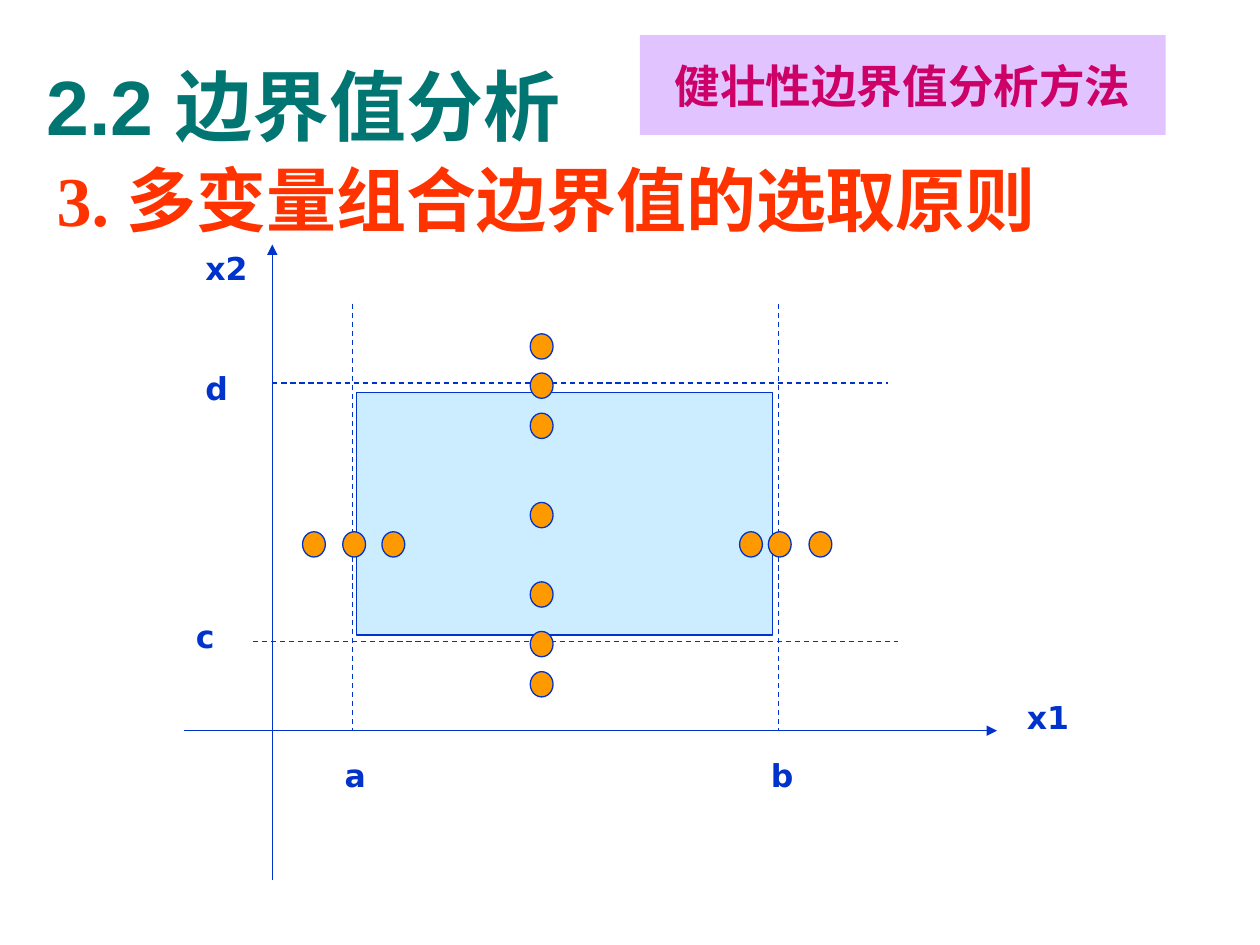
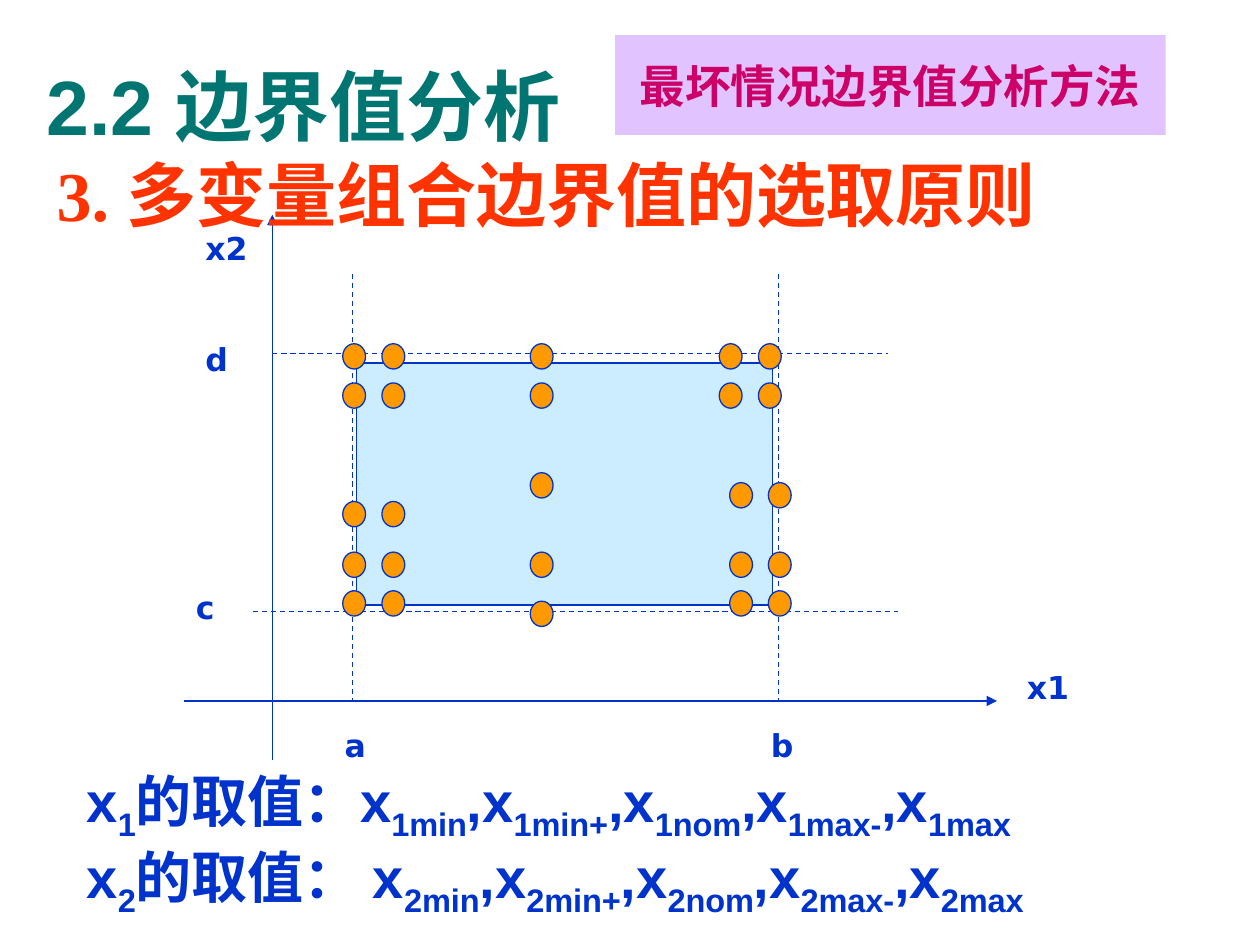
"""Build two slides on boundary value selection for combined variables."""
from itertools import product
from pptx import Presentation
from pptx.dml.color import RGBColor
from pptx.enum.dml import MSO_LINE
from pptx.enum.shapes import MSO_CONNECTOR, MSO_SHAPE
from pptx.enum.text import MSO_ANCHOR, MSO_AUTO_SIZE, PP_ALIGN
from pptx.oxml.ns import qn
from pptx.util import Cm, Pt
from lxml.etree import SubElement

BLUE = RGBColor(0x00, 0x33, 0xCC)
PALE = RGBColor(0xCC, 0xEC, 0xFF)
ORANGE = RGBColor(0xFF, 0x99, 0x00)
TEAL = RGBColor(0x00, 0x75, 0x72)
RED = RGBColor(0xFF, 0x33, 0x00)
LILAC = RGBColor(0xCC, 0x99, 0xFF)
PINK = RGBColor(0xCC, 0x00, 0x66)

LEFT, NEAR, MID, RIGHT = 6.91, 7.7, 10.69, 15.49
PAGES = [
    {
        "tag": "健壮性边界值分析方法", "edge": 12.9, "body": 3.02,
        "lift": 0, "foot": 17.73, "name": 4.9, "sums": False,
        "dots": [
            ([6.1, LEFT, NEAR, 14.91, RIGHT, 16.31], [10.72]),
            ([MID], [6.73, 7.52, 8.33, 10.13, 11.73, 12.73, 13.54]),
        ],
    },
    {
        "tag": "最坏情况边界值分析方法", "edge": 12.4, "body": 2.92,
        "lift": 0.6, "foot": 15.32, "name": 4.5, "sums": True,
        "dots": [
            ([LEFT, NEAR], [6.93, 7.72, 10.11, 11.13, 11.91]),
            ([MID], [6.93, 7.72, 9.53, 11.13, 12.12]),
            ([14.5, 15.29], [6.93, 7.72]),
            ([14.71, RIGHT], [9.73, 11.13, 11.91]),
        ],
    },
]


def style(run, size, face, color):
    """Set the bold font of a run."""
    font = run.font
    font.size, font.name, font.bold = Pt(size), face, True
    font.color.rgb = color


def block(slide, kind, x, y, wide, high, fill, line=None):
    """Add a filled shape without a shadow."""
    shape = slide.shapes.add_shape(kind, Cm(x), Cm(y), Cm(wide), Cm(high))
    shape.shadow.inherit = False
    shape.fill.solid()
    shape.fill.fore_color.rgb = fill
    if line is None:
        shape.line.fill.background()
    else:
        shape.line.color.rgb = line
        shape.line.width = Pt(0.75)
    return shape


deck = Presentation()
deck.slide_width, deck.slide_height = Cm(25.4), Cm(19.05)

for page in PAGES:
    slide = deck.slides.add_slide(deck.slide_layouts[1])
    shapes = slide.shapes
    lift = page["lift"]
    base, low, high, top = [y - lift for y in (14.73, 12.93, 7.72, 6.12)]

    lines = [
        (3.7, base, 20.1, base, False),
        (5.49, page["foot"], 5.49, 4.93 - lift, False),
        (5.1, low, 18.1, low, True),
        (7.11, top, 7.11, base, True),
        (5.49, high, 17.9, high, True),
        (15.7, top, 15.7, base, True),
    ]
    for x1, y1, x2, y2, dash in lines:
        link = shapes.add_connector(MSO_CONNECTOR.STRAIGHT, Cm(x1), Cm(y1), Cm(x2), Cm(y2))
        link.line.color.rgb = BLUE
        link.line.width = Pt(0.75)
        if dash:
            link.line.dash_style = MSO_LINE.DASH
        else:
            SubElement(link.line._get_or_add_ln(), qn("a:tailEnd"), type="triangle")
        SubElement(link._element.spPr, qn("a:effectLst"))

    block(slide, MSO_SHAPE.RECTANGLE, 7.19, 7.92 - lift, 8.38, 4.88, PALE, BLUE)

    labels = [
        ("x1", 20.45, 13.94 - lift), ("x2", 3.89, page["name"]),
        ("a", 6.7, 15.11 - lift), ("b", 15.29, 15.11 - lift),
        ("c", 3.7, 12.32 - lift), ("d", 3.89, 7.32 - lift),
    ]
    for text, x, y in labels:
        frame = shapes.add_textbox(Cm(x), Cm(y), Cm(1.85), Cm(1.02)).text_frame
        frame.word_wrap = True
        frame.auto_size = MSO_AUTO_SIZE.SHAPE_TO_FIT_TEXT
        frame.text = text
        style(frame.paragraphs[0].runs[0], 18, "DejaVu Sans", BLUE)

    for xs, ys in page["dots"]:
        for x, y in product(xs, ys):
            block(slide, MSO_SHAPE.OVAL, x, y, 0.46, 0.51, ORANGE, BLUE)

    if page["sums"]:
        frame = shapes.add_textbox(Cm(1.5), Cm(15.32), Cm(23.01), Cm(2.97)).text_frame
        frame.word_wrap = True
        frame.auto_size = MSO_AUTO_SIZE.SHAPE_TO_FIT_TEXT
        for num, gap in ((1, ""), (2, " ")):
            para = frame.paragraphs[0] if num == 1 else frame.add_paragraph()
            terms = ",".join(f"x_{num}{end}_" for end in ("min", "min+", "nom", "max-", "max"))
            parts = f"x_{num}_的取值：{gap}{terms}".rstrip("_").split("_")
            for spot, part in enumerate(parts):
                run = para.add_run()
                run.text = part
                style(run, 32, "Arial", BLUE)
                if spot % 2:
                    run._r.get_or_add_rPr().set("baseline", "-25000")

    title, body = shapes.title, slide.placeholders[1]
    for holder in (title, body):
        holder._element.getparent().append(holder._element)

    title.left, title.top, title.width, title.height = Cm(0.69), Cm(0.53), Cm(23.72), Cm(3.18)
    frame = title.text_frame
    frame.text = "2.2 边界值分析"
    frame.vertical_anchor = MSO_ANCHOR.MIDDLE
    frame.paragraphs[0].alignment = PP_ALIGN.LEFT
    style(frame.paragraphs[0].runs[0], 44, "Arial", TEAL)

    body.left, body.top, body.width, body.height = Cm(0.89), Cm(page["body"]), Cm(22.86), Cm(14.71)
    para = body.text_frame.paragraphs[0]
    props = para._p.get_or_add_pPr()
    props.set("marL", str(Cm(0.95)))
    props.set("indent", str(Cm(-0.95)))
    SubElement(props, qn("a:buNone"))
    for text, face in (("3. ", "Times New Roman"), ("多变量组合边界值的选取原则", "Arial")):
        run = para.add_run()
        run.text = text
        style(run, 40, face, RED)

    edge = page["edge"]
    tag = block(slide, MSO_SHAPE.RECTANGLE, edge, 0.71, 23.5 - edge, 2.01, LILAC)
    tint = tag._element.spPr.find(qn("a:solidFill"))[0]
    SubElement(tint, qn("a:alpha"), val="59000")
    frame = tag.text_frame
    frame.text = page["tag"]
    frame.vertical_anchor = MSO_ANCHOR.MIDDLE
    frame.paragraphs[0].alignment = PP_ALIGN.CENTER
    style(frame.paragraphs[0].runs[0], 26, "Arial", PINK)

deck.save("out.pptx")
